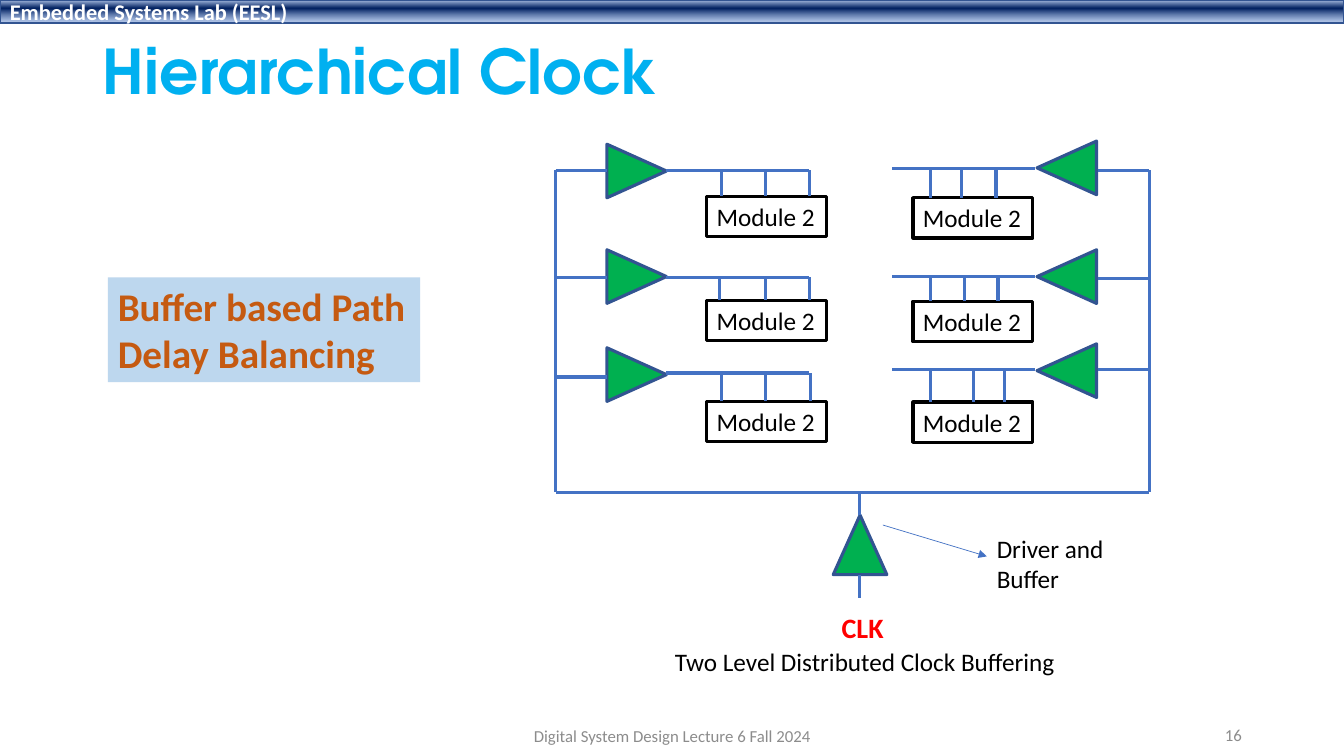
"""Build the slide on hierarchical clock buffering."""
from dataclasses import dataclass

from lxml.etree import SubElement
from pptx import Presentation
from pptx.dml.color import RGBColor
from pptx.enum.shapes import MSO_CONNECTOR as Link, MSO_SHAPE as Preset
from pptx.enum.text import MSO_ANCHOR as Anchor, MSO_AUTO_SIZE as Fit, PP_ALIGN as Align
from pptx.oxml import parse_xml
from pptx.oxml.ns import nsdecls, qn
from pptx.util import Cm, Pt

WHITE = RGBColor(0xFF, 0xFF, 0xFF)
BLACK = RGBColor(0x00, 0x00, 0x00)
SKY = RGBColor(0x00, 0xB0, 0xF0)
GREY = RGBColor(0x8C, 0x8C, 0x8C)
GREEN = RGBColor(0x00, 0xB0, 0x50)
NAVY = RGBColor(0x32, 0x54, 0x91)
BLUE = RGBColor(0x44, 0x72, 0xC4)
RED = RGBColor(0xFF, 0x00, 0x00)
PALE = RGBColor(0xBD, 0xD7, 0xEE)
RUST = RGBColor(0xC5, 0x5A, 0x11)

BODY = {"name": "Calibri", "size": Pt(18), "bold": False}
TITLE = {"name": "TeX Gyre Adventor", "size": Pt(44), "bold": True}
BAND = BODY | {"size": Pt(16), "bold": True}
FOOTER = BODY | {"size": Pt(12)}
CLOCK = BODY | {"size": Pt(20), "bold": True}
CALLOUT = BODY | {"size": Pt(28), "bold": True}

BUFFER_W, BUFFER_H = 1.35, 1.5
MODULE_W, MODULE_H = 3.02, 1.02
LEFT_BUS, RIGHT_BUS, BUS_TOP, BUS_BOTTOM = 14.0, 28.96, 4.29, 12.4
CLOCK_X = 21.67

BAND_GRADIENT = f"""<a:gradFill {nsdecls('a')} rotWithShape="1"><a:gsLst>
<a:gs pos="2000"><a:srgbClr val="ABC0E4"/></a:gs>
<a:gs pos="38000"><a:srgbClr val="002060"/></a:gs>
<a:gs pos="93000"><a:srgbClr val="7E9ED6"><a:alpha val="64000"/></a:srgbClr></a:gs>
</a:gsLst><a:lin ang="5400000" scaled="0"/></a:gradFill>"""


@dataclass(frozen=True)
class Side:
    """Horizontal places shared by the branches of one side, in cm."""
    feed: tuple[float, float]
    wire: tuple[float, float]
    buffer: float
    turn: int
    module: float


@dataclass(frozen=True)
class Branch:
    """One buffered branch with its vertical places and taps, in cm."""
    side: Side
    feed: float
    wire: float
    buffer: float
    module: float
    taps: tuple[float, float, float]


@dataclass(frozen=True)
class Label:
    """A text with its box in cm and its look."""
    text: str
    box: tuple[float, float, float, float]
    style: dict
    color: RGBColor
    align: Align = Align.LEFT
    anchor: Anchor = Anchor.TOP
    wrap: bool = False
    fill: RGBColor | None = None
    outline: RGBColor | None = None


LEFT = Side((LEFT_BUS, 15.3), (16.78, 20.4), 15.37, 90, 17.81)
RIGHT = Side((27.66, RIGHT_BUS), (22.48, 26.08), 26.21, 270, 23.01)

BRANCHES = [
    Branch(LEFT, 4.29, 4.29, 3.56, 4.95, (18.19, 19.3, 20.4)),
    Branch(LEFT, 6.99, 6.99, 6.22, 7.57, (18.14, 19.3, 20.4)),
    Branch(LEFT, 9.5, 9.4, 8.69, 10.11, (18.19, 19.3, 20.42)),
    Branch(RIGHT, 4.29, 4.24, 3.48, 4.98, (23.44, 24.23, 25.1)),
    Branch(RIGHT, 7.01, 6.96, 6.22, 7.59, (23.44, 24.31, 25.15)),
    Branch(RIGHT, 9.32, 9.32, 8.59, 10.13, (23.44, 24.54, 25.32)),
]

LABELS = [
    Label("Digital System Design Lecture 6 Fall 2024", (11.23, 18.03, 11.43, 1.02),
          FOOTER, GREY, Align.CENTER, Anchor.MIDDLE, True),
    Label("16", (23.93, 18.01, 7.62, 1.02), FOOTER, GREY, Align.RIGHT, Anchor.MIDDLE, True),
    Label("Two Level Distributed Clock Buffering", (16.76, 16.15, 10.21, 1.02), BODY, BLACK),
    Label("CLK", (20.96, 15.27, 1.57, 1.12), CLOCK, RED),
    Label("Driver and\nBuffer", (24.87, 13.31, 3.38, 1.8), BODY, BLACK),
    Label("Buffer based Path\nDelay Balancing", (2.72, 6.99, 7.87, 2.64),
          CALLOUT, RUST, fill=PALE),
]


def write(frame, text: str, style: dict, color: RGBColor, align: Align = Align.LEFT) -> None:
    """Fill a text frame and format all of its runs."""
    frame.text = text
    for paragraph in frame.paragraphs:
        paragraph.alignment = align
        for run in paragraph.runs:
            for attribute, value in style.items():
                setattr(run.font, attribute, value)
            run.font.color.rgb = color


def draw_label(slide, label: Label) -> None:
    """Draw a text box, with fill and outline where given."""
    box = slide.shapes.add_textbox(*map(Cm, label.box))
    frame = box.text_frame
    write(frame, label.text, label.style, label.color, label.align)
    frame.word_wrap = label.wrap
    frame.vertical_anchor = label.anchor
    frame.auto_size = Fit.NONE if label.wrap else Fit.SHAPE_TO_FIT_TEXT
    if label.fill is not None:
        box.fill.solid()
        box.fill.fore_color.rgb = label.fill
    if label.outline is not None:
        box.line.color.rgb = label.outline
        box.line.width = Pt(2.25)


def draw_wire(slide, x1: float, y1: float, x2: float, y2: float, width: float = 2.25):
    """Draw a straight wire between two points in cm."""
    wire = slide.shapes.add_connector(Link.STRAIGHT, *map(Cm, (x1, y1, x2, y2)))
    wire.line.color.rgb = BLUE
    wire.line.width = Pt(width)
    SubElement(wire._element.spPr, qn("a:effectLst"))
    return wire


def draw_buffer(slide, left: float, top: float, turn: int = 0) -> None:
    """Draw a green buffer triangle turned by the given degrees."""
    triangle = slide.shapes.add_shape(
        Preset.ISOSCELES_TRIANGLE, *map(Cm, (left, top, BUFFER_W, BUFFER_H)))
    triangle.rotation = turn
    triangle.shadow.inherit = False
    triangle.fill.solid()
    triangle.fill.fore_color.rgb = GREEN
    triangle.line.color.rgb = NAVY
    triangle.line.width = Pt(2.25)


def draw_branch(slide, branch: Branch) -> None:
    """Draw a feed, its buffer, the wire behind it and the tapped module."""
    side = branch.side
    module_box = (side.module, branch.module, MODULE_W, MODULE_H)
    draw_label(slide, Label("Module 2", module_box, BODY, BLACK, outline=BLACK))
    draw_buffer(slide, side.buffer, branch.buffer, side.turn)
    for (start, end), y in ((side.feed, branch.feed), (side.wire, branch.wire)):
        draw_wire(slide, start, y, end, y)
    for x in branch.taps:
        draw_wire(slide, x, branch.wire, x, branch.module)


def draw_band(slide, width: int) -> None:
    """Draw the gradient band with the name of the lab."""
    band = slide.shapes.add_shape(Preset.RECTANGLE, 0, 0, width, Cm(0.58))
    band.shadow.inherit = False
    band._element.spPr.find(qn("a:prstGeom")).addnext(parse_xml(BAND_GRADIENT))
    band.line.color.rgb = NAVY
    band.line.width = Pt(1)
    band.text_frame.vertical_anchor = Anchor.MIDDLE
    write(band.text_frame, "Embedded Systems Lab (EESL)", BAND, WHITE)


def place_title(slide) -> None:
    """Place and format the title."""
    title = slide.shapes.title
    places = {"left": 2.34, "top": 0.51, "width": 29.21, "height": 2.72}
    for attribute, value in places.items():
        setattr(title, attribute, Cm(value))
    write(title.text_frame, "Hierarchical Clock", TITLE, SKY)
    title.text_frame.vertical_anchor = Anchor.MIDDLE
    title.text_frame.paragraphs[0].line_spacing = 0.9


def main() -> None:
    """Build and save the slide."""
    deck = Presentation()
    deck.slide_width, deck.slide_height = Cm(33.87), Cm(19.05)
    slide = deck.slides.add_slide(deck.slide_layouts[5])
    draw_band(slide, deck.slide_width)
    place_title(slide)
    for branch in BRANCHES:
        draw_branch(slide, branch)
    for x in (LEFT_BUS, RIGHT_BUS):
        draw_wire(slide, x, BUS_TOP, x, BUS_BOTTOM)
    draw_wire(slide, RIGHT_BUS, BUS_BOTTOM, LEFT_BUS, BUS_BOTTOM)
    draw_buffer(slide, 21.0, 12.98)
    for top, bottom in ((BUS_BOTTOM, 12.98), (14.48, 15.06)):
        draw_wire(slide, CLOCK_X, bottom, CLOCK_X, top)
    for label in LABELS:
        draw_label(slide, label)
    pointer = draw_wire(slide, 22.25, 13.23, 24.87, 14.02, 0.5)
    SubElement(pointer.line._get_or_add_ln(), qn("a:tailEnd"), type="triangle")
    deck.save("out.pptx")


if __name__ == "__main__":
    main()
